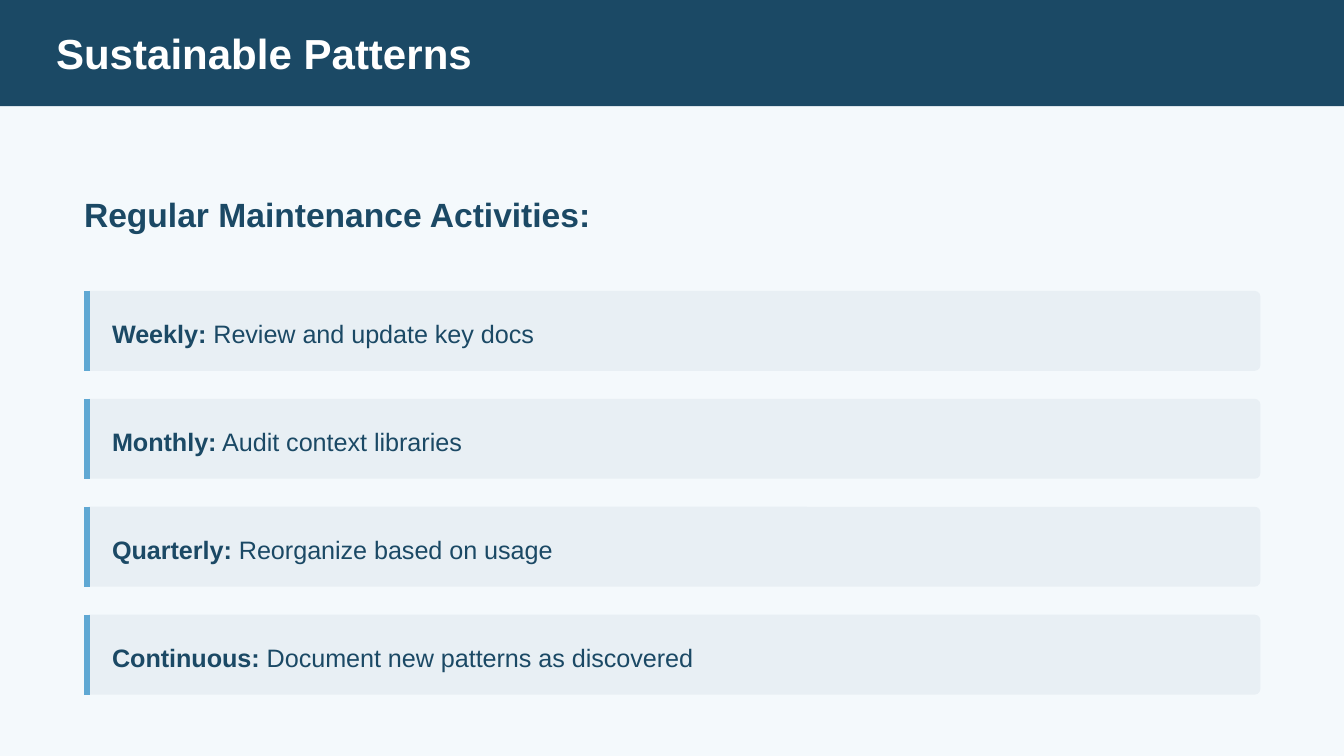
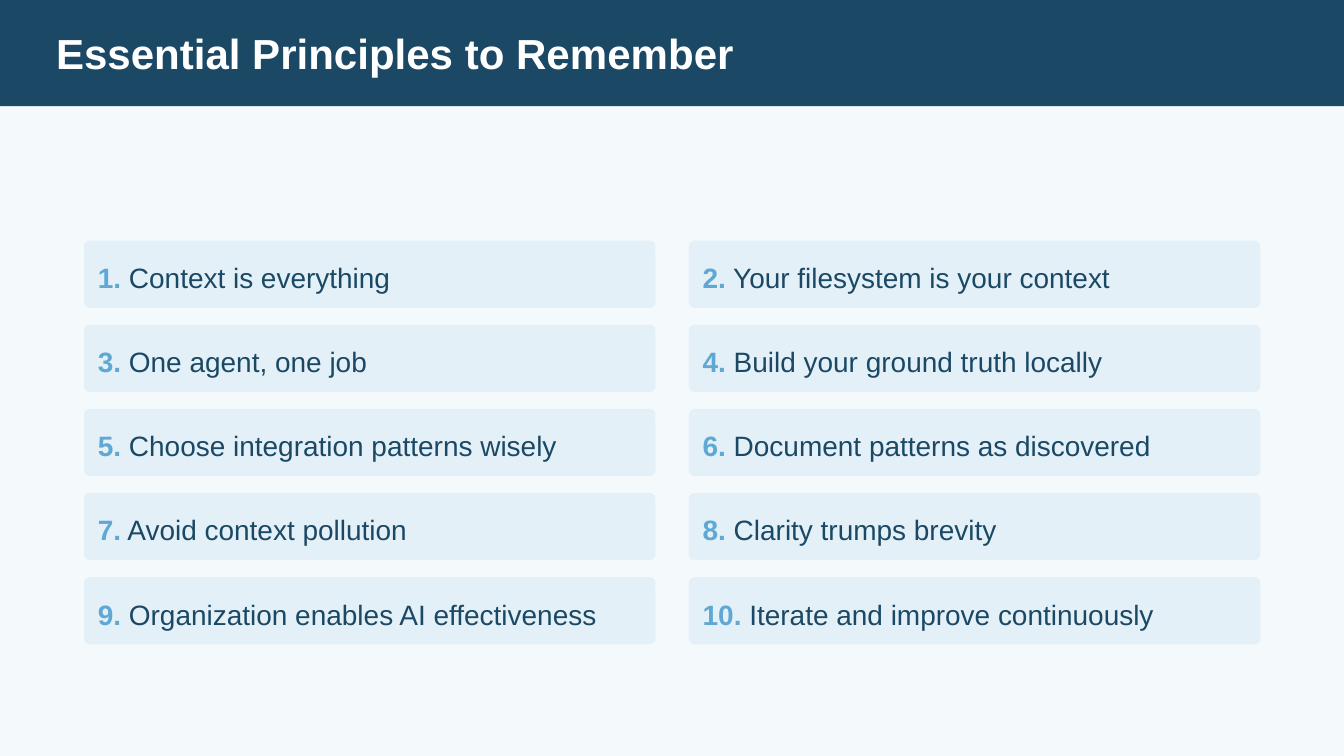
from dataclasses import dataclass
from typing import Optional

from lxml import etree
from pptx import Presentation
from pptx import util as u
from pptx.dml.color import RGBColor
from pptx.enum import shapes, text
from pptx.oxml.ns import qn

NAVY = RGBColor(0x1B, 0x49, 0x65)
SKY = RGBColor(0x5F, 0xA8, 0xD3)
TINT = RGBColor(0x5B, 0xA8, 0xD3)
MIST = RGBColor(0xE8, 0xEF, 0xF4)
PAPER = RGBColor(0xF4, 0xF9, 0xFC)
WHITE = RGBColor(0xFF, 0xFF, 0xFF)

SLIDE_W, SLIDE_H = 25.4, 14.29
MARGIN = 1.59
BAND_H = 2.01
ROW_TOP, ROW_PITCH, ROW_W, ROW_H = 5.5, 2.04, 22.23, 1.51
CARD_TOP, CARD_PITCH_X, CARD_PITCH_Y, CARD_W, CARD_H = 4.55, 11.43, 1.59, 10.8, 1.27


@dataclass(frozen=True)
class Box:
    left: float
    top: float
    width: float
    height: float

    def lengths(self) -> tuple:
        return tuple(u.Cm(v) for v in (self.left, self.top, self.width, self.height))


@dataclass(frozen=True)
class Run:
    words: str
    color: RGBColor
    bold: bool = True


@dataclass(frozen=True)
class Activity:
    period: str
    task: str
    text_width: float


ACTIVITIES = [
    Activity("Weekly:", "Review and update key docs", 8.18),
    Activity("Monthly:", "Audit context libraries", 6.78),
    Activity("Quarterly:", "Reorganize based on usage", 8.53),
    Activity("Continuous:", "Document new patterns as discovered", 11.25),
]

PRINCIPLES = [
    "Context is everything",
    "Your filesystem is your context",
    "One agent, one job",
    "Build your ground truth locally",
    "Choose integration patterns wisely",
    "Document patterns as discovered",
    "Avoid context pollution",
    "Clarity trumps brevity",
    "Organization enables AI effectiveness",
    "Iterate and improve continuously",
]


def add_block(slide, box: Box, fill: RGBColor, corner: Optional[float] = None,
              opacity: Optional[int] = None) -> None:
    kind = shapes.MSO_SHAPE.RECTANGLE if corner is None else shapes.MSO_SHAPE.ROUNDED_RECTANGLE
    sp = slide.shapes.add_shape(kind, *box.lengths())
    sp.shadow.inherit = False
    sp.fill.solid()
    sp.fill.fore_color.rgb = fill
    sp.line.fill.background()
    if corner is not None:
        sp.adjustments[0] = corner
    if opacity is not None:
        clr = sp._element.spPr.find(qn("a:solidFill")).find(qn("a:srgbClr"))
        etree.SubElement(clr, qn("a:alpha"), val=str(opacity * 1000))


def add_text(slide, box: Box, runs: list[Run], size: float, spacing: float,
             after: float = 0) -> None:
    tf = slide.shapes.add_textbox(*box.lengths()).text_frame
    frame_format = {
        "margin_left": 0, "margin_top": 0, "margin_right": 0, "margin_bottom": 0,
        "word_wrap": True, "vertical_anchor": text.MSO_ANCHOR.TOP,
    }
    for name, value in frame_format.items():
        setattr(tf, name, value)
    p = tf.paragraphs[0]
    for name, value in {"line_spacing": u.Pt(spacing), "space_after": u.Pt(after)}.items():
        setattr(p, name, value)
    for run in runs:
        r = p.add_run()
        r.text = run.words
        for name, value in {"name": "Arial", "size": u.Pt(size), "bold": run.bold}.items():
            setattr(r.font, name, value)
        r.font.color.rgb = run.color


def add_accent(slide, x: float, top: float, height: float) -> None:
    line = slide.shapes.add_connector(
        shapes.MSO_CONNECTOR.STRAIGHT, u.Cm(x), u.Cm(top), u.Cm(x), u.Cm(top + height))
    line.line.color.rgb = SKY
    line.line.width = u.Pt(3)
    etree.SubElement(line._element.spPr, qn("a:effectLst"))


def add_titled_slide(prs, title: str, title_width: float):
    slide = prs.slides.add_slide(prs.slide_layouts[6])
    slide.background.fill.solid()
    slide.background.fill.fore_color.rgb = PAPER
    add_block(slide, Box(0, 0, SLIDE_W, BAND_H), NAVY)
    add_text(slide, Box(1.06, 0.53, title_width, 0.95), [Run(title, WHITE)], 22.5, 27)
    return slide


def add_activity(slide, index: int, activity: Activity) -> None:
    top = ROW_TOP + index * ROW_PITCH
    add_block(slide, Box(MARGIN, top, ROW_W, ROW_H), MIST, corner=0.07)
    add_accent(slide, MARGIN + 0.05, top, ROW_H)
    runs = [Run(activity.period, NAVY), Run(f" {activity.task}", NAVY, False)]
    add_text(slide, Box(MARGIN + 0.53, top + 0.42, activity.text_width, 0.67), runs, 13.5, 18.9)


def add_principle(slide, index: int, principle: str) -> None:
    row, col = divmod(index, 2)
    left = MARGIN + col * CARD_PITCH_X
    top = CARD_TOP + row * CARD_PITCH_Y
    add_block(slide, Box(left, top, CARD_W, CARD_H), TINT, corner=0.083, opacity=10)
    runs = [Run(f"{index + 1}.", SKY), Run(f" {principle}", NAVY, False)]
    add_text(slide, Box(left + 0.26, top + 0.27, 10.46, 0.74), runs, 15, 21)


def main() -> None:
    prs = Presentation()
    prs.slide_width, prs.slide_height = u.Cm(SLIDE_W), u.Cm(SLIDE_H)

    slide = add_titled_slide(prs, "Sustainable Patterns", 11.91)
    add_text(slide, Box(MARGIN, 3.58, 22.68, 0.84),
             [Run("Regular Maintenance Activities:", NAVY)], 18, 24, after=18)
    for index, activity in enumerate(ACTIVITIES):
        add_activity(slide, index, activity)

    slide = add_titled_slide(prs, "Essential Principles to Remember", 13.06)
    for index, principle in enumerate(PRINCIPLES):
        add_principle(slide, index, principle)

    prs.save("out.pptx")


if __name__ == "__main__":
    main()
